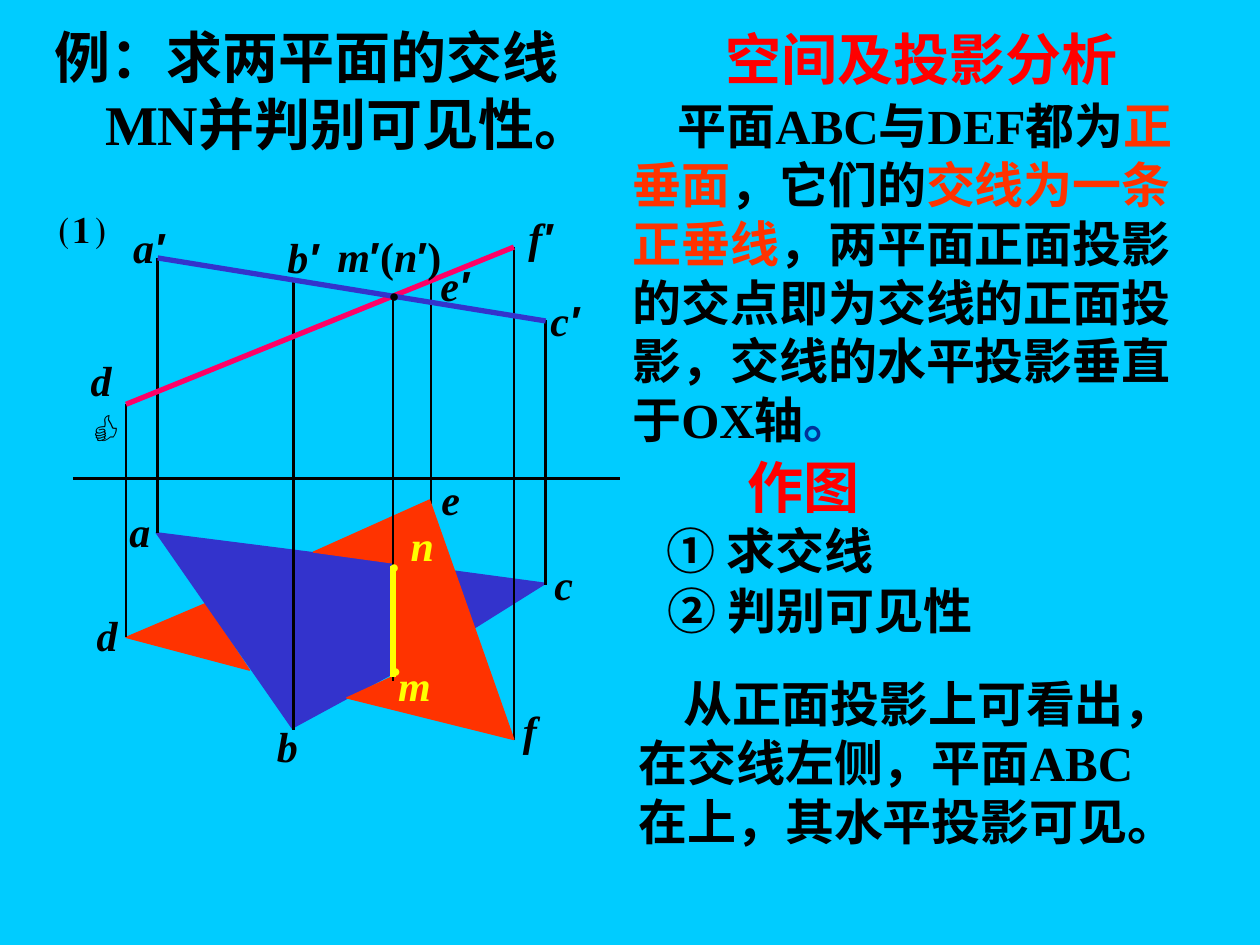
"""Build the slide on the intersection line of two planes."""
from lxml import etree
from pptx import Presentation
from pptx.dml.color import RGBColor
from pptx.enum.shapes import MSO_CONNECTOR as CONN
from pptx.enum.text import MSO_ANCHOR as ANCHOR, PP_ALIGN as ALIGN
from pptx.oxml.ns import qn
from pptx.util import Cm, Pt

SKY = RGBColor(0x00, 0xCC, 0xFF)
BLACK = RGBColor(0x00, 0x00, 0x00)
RED = RGBColor(0xFF, 0x00, 0x00)
ORANGE = RGBColor(0xFF, 0x33, 0x00)
BLUE = RGBColor(0x33, 0x33, 0xCC)
NAVY = RGBColor(0x00, 0x33, 0x99)
PINK = RGBColor(0xFF, 0x00, 0x66)
YELLOW = RGBColor(0xFF, 0xFF, 0x00)

prs = Presentation()
prs.slide_width, prs.slide_height = Cm(25.4), Cm(19.05)
s = prs.slides.add_slide(prs.slide_layouts[6])
s.background.fill.solid()
s.background.fill.fore_color.rgb = SKY


def add_text(box, paragraphs, size, color=BLACK, align=ALIGN.CENTER, wrap=True,
             bold=True, italic=False, indent=0):
    tf = s.shapes.add_textbox(*[Cm(v) for v in box]).text_frame
    tf.word_wrap = wrap
    tf.vertical_anchor = ANCHOR.MIDDLE
    for i, runs in enumerate(paragraphs):
        p = tf.add_paragraph() if i else tf.paragraphs[0]
        p.alignment = align
        if indent and i == len(paragraphs) - 1:
            p._p.get_or_add_pPr().set("indent", str(Cm(indent)))
        p.font.name, p.font.size = "Times New Roman", Pt(size)
        p.font.bold, p.font.italic = bold, italic
        p.font.color.rgb = color
        for text, run_color in runs:
            r = p.add_run()
            r.text = text
            if run_color:
                r.font.color.rgb = run_color
            if text in "′👍":
                r.font.name = "Arial" if text == "′" else "Calibri"
    return tf


def add_line(x1, y1, x2, y2, color=BLACK, width=1.5):
    ln = s.shapes.add_connector(CONN.STRAIGHT, Cm(x1), Cm(y1), Cm(x2), Cm(y2))
    ln.line.color.rgb = color
    ln.line.width = Pt(width)
    etree.SubElement(ln._element.spPr, qn("a:effectLst"))


planes = [
    (ORANGE, [(2.54, 12.85), (4.14, 12.17), (5.03, 13.51)]),
    (BLUE, [(3.15, 10.74), (5.89, 14.68), (7.9, 13.59), (7.95, 11.35)]),
    (BLUE, [(9.14, 11.51), (11, 11.76), (9.5, 12.7)]),
    (ORANGE, [(6.32, 11.13), (7.92, 11.35), (7.92, 13.64), (6.99, 14.07),
              (10.36, 14.91), (8.66, 10.08)]),
]
projectors = [
    (10.36, 4.98, 14.92), (2.54, 8.15, 12.85), (8.69, 5.7, 10.16),
    (11, 6.45, 11.8), (3.18, 5.2, 10.74), (5.92, 5.61, 14.72),
]
for i, (color, points) in enumerate(planes):
    if i == len(planes) - 1:
        add_line(1.47, 9.65, 12.5, 9.65)
        for x, top, bottom in projectors:
            add_line(x, top, x, bottom)
        add_line(2.54, 8.15, 10.36, 4.98, PINK, 3)
        add_line(11, 6.47, 3.18, 5.2, BLUE, 3)
    fb = s.shapes.build_freeform(Cm(points[0][0]), Cm(points[0][1]))
    fb.add_line_segments([(Cm(x), Cm(y)) for x, y in points[1:]], close=True)
    sp = fb.convert_to_shape()
    sp.shadow.inherit = False
    sp.fill.solid()
    sp.fill.fore_color.rgb = color
    sp.line.color.rgb = color
    sp.line.width = Pt(0.75)
add_line(7.92, 6.02, 7.92, 13.72, width=1)
add_line(7.92, 11.4, 7.92, 13.64, YELLOW, 3)

labels = [
    ("a", 2.36, 10.06, 0.91, BLACK), ("b", 5.33, 14.4, 0.91, BLACK),
    ("c", 10.92, 11.13, 0.89, BLACK), ("d", 1.7, 12.17, 0.91, BLACK),
    ("e", 8.64, 9.42, 0.89, BLACK), ("f", 10.29, 14.07, 0.79, BLACK),
    ("a′", 2.34, 4.34, 1.32, BLACK), ("b′", 5.38, 4.55, 1.45, BLACK),
    ("c′", 10.8, 5.82, 1.17, BLACK), ("d👍", 1.42, 7.52, 1.24, BLACK),
    ("e′", 8.43, 5.11, 1.47, BLACK), ("f′", 10.36, 4.14, 1.07, BLACK),
    ("m′(n′)", 6.07, 4.52, 3.56, BLACK),
    ("m", 7.77, 13.16, 1.17, YELLOW), ("n", 8.03, 10.34, 0.97, YELLOW),
]
for text, x, y, w, color in labels:
    tf = add_text((x, y, w, 1.27), [[(ch, None) for ch in text]], 24, color,
                  wrap="👍" in text, italic=True)
    if "(" in text:
        for r in tf.paragraphs[0].runs:
            r.font.italic = r.text in "mn"

for x, y, color in [(7.59, 5.61, BLACK), (7.62, 13.18, YELLOW), (7.59, 11.07, YELLOW)]:
    add_text((x, y, 0.71, 0.69), [[("●", None)]], 10, color, wrap=False, bold=False)

add_text((0.84, 0.33, 12.17, 2.97),
         [[("例：求两平面的交线", None)], [("MN并判别可见性。", None)]],
         32, align=ALIGN.LEFT, indent=1.03)
add_text((0.81, 3.78, 1.7, 1.45), [[("⑴", None)]], 28)
add_text((13.82, 0.36, 9.53, 1.63), [[("空间及投影分析", None)]], 32, RED)
add_text((12.5, 1.8, 11.63, 7.37), [[
    ("平面ABC与DEF都为", None), ("正垂面", ORANGE), ("，它们的", None),
    ("交线为一条正垂线", ORANGE),
    ("，两平面正面投影的交点即为交线的正面投影，交线的水平投影垂直于OX轴", None),
    ("。", NAVY)]], 28, align=ALIGN.LEFT, indent=0.91)
add_text((14.81, 8.99, 2.77, 1.63), [[("作图", None)]], 32, RED, wrap=False)
add_text((13.18, 10.36, 4.67, 1.45), [[("① 求交线", None)]], 28,
         align=ALIGN.LEFT, wrap=False)
add_text((13.21, 11.58, 6.65, 1.45), [[("② 判别可见性", None)]], 28, wrap=False)
add_text((12.62, 13.46, 10.95, 3.81),
         [[("从正面投影上可看出，在交线左侧，平面ABC在上，其水平投影可见。", None)]],
         28, align=ALIGN.LEFT, indent=0.91)

prs.save("out.pptx")
